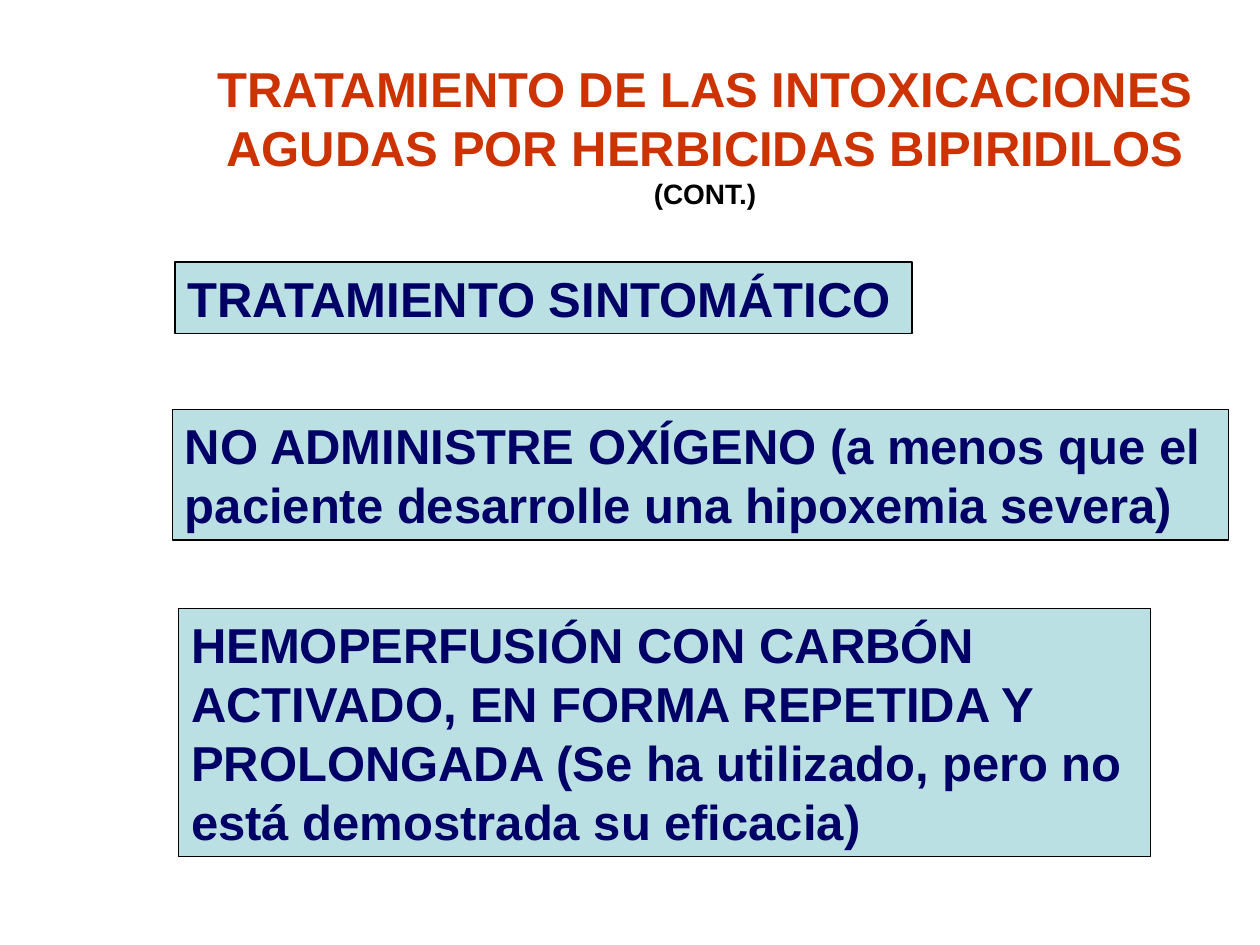
from pptx import Presentation
from pptx.dml.color import RGBColor
from pptx.enum.shapes import MSO_SHAPE
from pptx.enum.text import MSO_ANCHOR, PP_ALIGN
from pptx.util import Pt

RED = RGBColor(0xCC, 0x33, 0x00)
NAVY = RGBColor(0x00, 0x00, 0x66)
PALE = RGBColor(0xBB, 0xE0, 0xE3)
BLACK = RGBColor(0x00, 0x00, 0x00)

FONT = "Arial"
LINE = 33.6  # height of one text line at 28 points
PAD = 7.4    # top and bottom insets together

TITLE = [
    ("TRATAMIENTO DE LAS INTOXICACIONES", 28, RED),
    ("AGUDAS POR HERBICIDAS BIPIRIDILOS", 28, RED),
    ("(CONT.)", 16, BLACK),
]

# Left, top, width, lines
BOXES = [
    (100, 149.8, 421.2, ["TRATAMIENTO SINTOMÁTICO"]),
    (98.6, 234, 603.4, ["NO ADMINISTRE OXÍGENO (a menos que el",
                        "paciente desarrolle una hipoxemia severa)"]),
    (102.2, 347.8, 555.1, ["HEMOPERFUSIÓN CON CARBÓN",
                           "ACTIVADO, EN FORMA REPETIDA Y",
                           "PROLONGADA (Se ha utilizado, pero no",
                           "está demostrada su eficacia)"]),
]


def write(frame, rows, align):
    """Write one paragraph for each (text, size, colour) row."""
    frame.word_wrap = True
    frame.vertical_anchor = MSO_ANCHOR.TOP
    frame.text = "\n".join(text for text, _, _ in rows)
    for para, (_, size, color) in zip(frame.paragraphs, rows):
        para.alignment = align
        for run in para.runs:
            run.font.name = FONT
            run.font.size = Pt(size)
            run.font.bold = True
            run.font.color.rgb = color


def add_title(slide):
    box = slide.shapes.add_textbox(Pt(114.5), Pt(30.2), Pt(576.7), Pt(93.6))
    write(box.text_frame, TITLE, PP_ALIGN.CENTER)


def add_box(slide, left, top, width, lines):
    box = slide.shapes.add_shape(
        MSO_SHAPE.RECTANGLE, Pt(left), Pt(top), Pt(width),
        Pt(PAD + LINE * len(lines)))
    box.shadow.inherit = False
    box.fill.solid()
    box.fill.fore_color.rgb = PALE
    box.line.color.rgb = BLACK
    box.line.width = Pt(0.75)
    write(box.text_frame, [(text, 28, NAVY) for text in lines], PP_ALIGN.LEFT)


def main():
    deck = Presentation()
    deck.slide_width, deck.slide_height = Pt(720), Pt(540)
    slide = deck.slides.add_slide(deck.slide_layouts[6])

    # Heading
    add_title(slide)

    # Treatment steps
    for left, top, width, lines in BOXES:
        add_box(slide, left, top, width, lines)

    deck.save("out.pptx")


if __name__ == "__main__":
    main()
